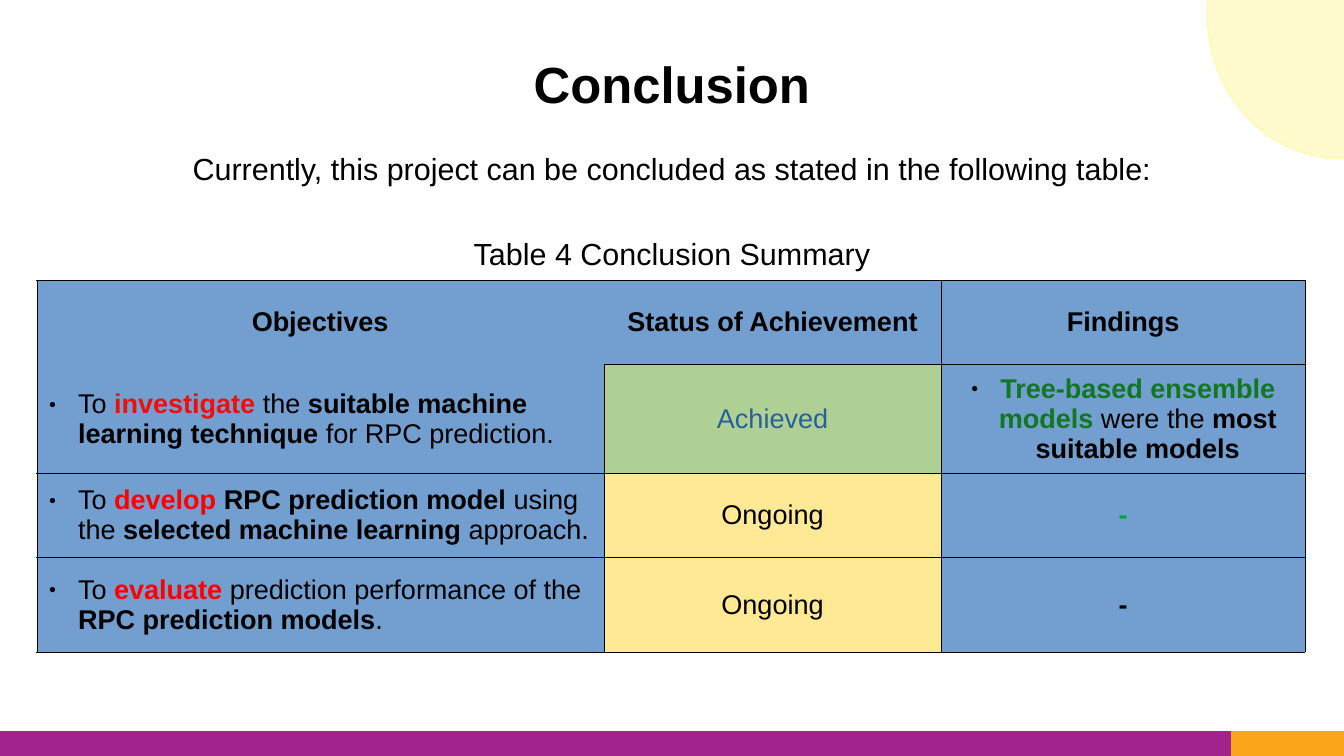
from lxml import etree
from pptx import Presentation
from pptx.dml.color import RGBColor
from pptx.enum.shapes import MSO_SHAPE
from pptx.enum.text import MSO_ANCHOR, MSO_AUTO_SIZE, PP_ALIGN
from pptx.oxml.ns import qn
from pptx.util import Pt

RECTANGLE, OVAL = MSO_SHAPE.RECTANGLE, MSO_SHAPE.OVAL
MIDDLE = MSO_ANCHOR.MIDDLE
LEFT, CENTER = PP_ALIGN.LEFT, PP_ALIGN.CENTER
NO_AUTOFIT = MSO_AUTO_SIZE.NONE

COLORS = {
    "black": "000000", "purple": "A3238E", "orange": "FAA61A",
    "cream": "FFFBCC", "cream edge": "FFF9AE",
    "blue": "729FCF", "light green": "AFD095", "yellow": "FFE994",
    "crimson": "F10D0C", "red": "FF0000", "navy": "2A6099",
    "dark green": "127622", "green": "00A933",
}
WIDTH, HEIGHT = 793.44, 446.4
MARGIN = 21.6
CONTENT_WIDTH = WIDTH - 2 * MARGIN
BAR_TOP, BAR_SPLIT = 432, 727.2
COLUMN_WIDTHS = [334.8, 199.4, 214.6]
ROW_HEIGHTS = [49.5, 64.5, 49.5, 56]

# Each cell: fill, bulleted, and runs of (text, bold, color).
HEADER = [("blue", False, [(label, True, "black")])
          for label in ("Objectives", "Status of Achievement", "Findings")]
ONGOING = ("yellow", False, [("Ongoing", False, "black")])
SUMMARY = [
    HEADER,
    [("blue", True, [("To ", False, "black"),
                     ("investigate", True, "crimson"),
                     (" the ", False, "black"),
                     ("suitable machine learning technique", True, "black"),
                     (" for RPC prediction.", False, "black")]),
     ("light green", False, [("Achieved", False, "navy")]),
     ("blue", True, [("Tree-based ensemble models", True, "dark green"),
                     (" were the ", False, "black"),
                     ("most suitable models", True, "black")])],
    [("blue", True, [("To ", False, "black"),
                     ("develop", True, "red"),
                     (" RPC prediction model", True, "black"),
                     (" using the ", False, "black"),
                     ("selected machine learning", True, "black"),
                     (" approach.", False, "black")]),
     ONGOING,
     ("blue", False, [("-", True, "green")])],
    [("blue", True, [("To ", False, "black"),
                     ("evaluate", True, "red"),
                     (" prediction performance of the ", False, "black"),
                     ("RPC prediction models", True, "black"),
                     (".", False, "black")]),
     ONGOING,
     ("blue", False, [("-", True, "black")])],
]
# Sides without a line, by (row, column).
OPEN_SIDES = {(0, 0): "RB", (0, 1): "L", (1, 0): "T"}


def rgb(color):
    return RGBColor.from_string(COLORS[color])


class SlideBuilder:
    def __init__(self, slide, font="Arial"):
        self.slide = slide
        self.font = font

    def style_run(self, run, size, bold=False, color="black"):
        run.font.name = self.font
        run.font.size = Pt(size)
        run.font.bold = bold
        run.font.color.rgb = rgb(color)

    def shape(self, preset, left, top, width, height, fill, edge=None):
        shape = self.slide.shapes.add_shape(
            preset, Pt(left), Pt(top), Pt(width), Pt(height))
        shape.shadow.inherit = False
        shape.fill.solid()
        shape.fill.fore_color.rgb = rgb(fill)
        shape.line.color.rgb = rgb(edge or fill)
        shape.line.width = Pt(0)

    def title(self, text, top, height):
        title = self.slide.shapes.title
        title.left, title.top = Pt(0), Pt(top)
        title.width, title.height = Pt(WIDTH), Pt(height)
        frame = title.text_frame
        frame.text = text
        frame.auto_size = NO_AUTOFIT
        frame.vertical_anchor = MIDDLE
        frame.margin_left = frame.margin_right = Pt(0)
        frame.margin_top = frame.margin_bottom = Pt(0)
        frame.paragraphs[0].alignment = CENTER
        self.style_run(frame.paragraphs[0].runs[0], 30, bold=True)

    def caption(self, text, top):
        box = self.slide.shapes.add_textbox(
            Pt(MARGIN), Pt(top), Pt(CONTENT_WIDTH), Pt(27.4))
        frame = box.text_frame
        frame.word_wrap = True
        frame.text = text
        frame.paragraphs[0].alignment = CENTER
        self.style_run(frame.paragraphs[0].runs[0], 18)

    def bullet(self, paragraph):
        properties = paragraph._p.get_or_add_pPr()
        properties.set("marL", str(Pt(17.3)))
        properties.set("indent", str(-Pt(17.3)))
        color = etree.SubElement(properties, qn("a:buClr"))
        etree.SubElement(color, qn("a:srgbClr"), val=COLORS["black"])
        etree.SubElement(properties, qn("a:buSzPct"), val="45000")
        etree.SubElement(properties, qn("a:buFont"), typeface=self.font)
        etree.SubElement(properties, qn("a:buChar"), char="●")

    def borders(self, cell, open_sides):
        properties = cell._tc.get_or_add_tcPr()
        for side in "LRTB":
            line = etree.SubElement(properties, qn(f"a:ln{side}"), w=str(Pt(0.06)))
            if side in open_sides:
                etree.SubElement(line, qn("a:noFill"))
            else:
                fill = etree.SubElement(line, qn("a:solidFill"))
                etree.SubElement(fill, qn("a:srgbClr"), val=COLORS["black"])

    def cell(self, cell, fill, bulleted, runs, alignment, open_sides):
        self.borders(cell, open_sides)
        cell.fill.solid()
        cell.fill.fore_color.rgb = rgb(fill)
        cell.vertical_anchor = MIDDLE
        paragraph = cell.text_frame.paragraphs[0]
        paragraph.alignment = alignment
        if bulleted:
            self.bullet(paragraph)
        for text, bold, color in runs:
            run = paragraph.add_run()
            run.text = text
            self.style_run(run, 16, bold, color)

    def table(self, rows, top):
        table = self.slide.shapes.add_table(
            len(rows), len(COLUMN_WIDTHS), Pt(MARGIN), Pt(top),
            Pt(CONTENT_WIDTH), Pt(sum(ROW_HEIGHTS))).table
        table.first_row = table.horz_banding = False
        for column, width in zip(table.columns, COLUMN_WIDTHS):
            column.width = Pt(width)
        for row, height in zip(table.rows, ROW_HEIGHTS):
            row.height = Pt(height)
        for r, row in enumerate(rows):
            for c, (fill, bulleted, runs) in enumerate(row):
                alignment = LEFT if r and c == 0 else CENTER
                self.cell(table.cell(r, c), fill, bulleted, runs, alignment,
                          OPEN_SIDES.get((r, c), ""))


def main():
    presentation = Presentation()
    presentation.slide_width, presentation.slide_height = Pt(WIDTH), Pt(HEIGHT)
    title_only = presentation.slide_layouts[5]
    builder = SlideBuilder(presentation.slides.add_slide(title_only))

    bar_height = HEIGHT - BAR_TOP
    builder.shape(RECTANGLE, 0, BAR_TOP, BAR_SPLIT, bar_height, "purple")
    builder.shape(RECTANGLE, BAR_SPLIT, BAR_TOP, WIDTH - BAR_SPLIT, bar_height, "orange")
    builder.title("Conclusion", 13, 72)
    builder.table(SUMMARY, 165.6)
    builder.caption("Currently, this project can be concluded as stated "
                    "in the following table:", 85)
    builder.shape(OVAL, 712.8, -76.3, 157.7, 170, "cream", "cream edge")
    builder.caption("Table 4 Conclusion Summary", 135.4)
    presentation.save("out.pptx")


if __name__ == "__main__":
    main()
